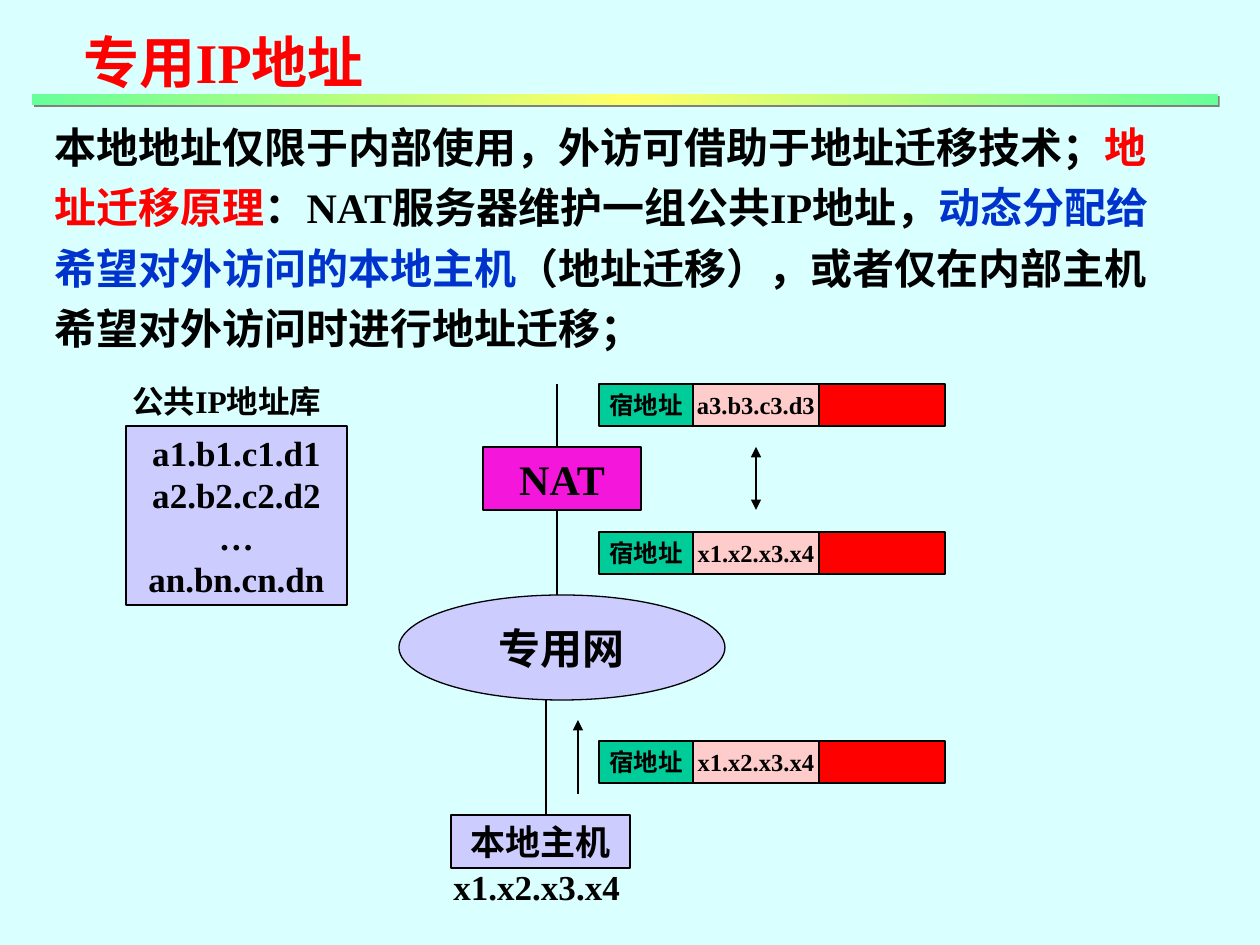
from dataclasses import dataclass

from lxml.etree import SubElement
from pptx import Presentation
from pptx.dml.color import RGBColor as RGB
from pptx.enum.shapes import MSO_CONNECTOR as LINK, MSO_SHAPE as SHAPE
from pptx.enum.text import MSO_ANCHOR as ANCHOR, MSO_AUTO_SIZE as FIT, PP_ALIGN as ALIGN
from pptx.oxml.ns import qn
from pptx.util import Emu, Pt


@dataclass(frozen=True)
class Theme:
    font: str = "Times New Roman"
    background: str = "D9FFFF"
    ink: str = "000000"
    red: str = "FF0000"
    blue: str = "0033CC"
    lavender: str = "CCCCFF"
    magenta: str = "F416DA"
    green: str = "00CC99"
    pink: str = "FFCCCC"
    bar_edge: str = "66FF99"
    bar_middle: str = "FFFF66"
    bar_shadow: str = "808080"
    title: int = 32
    body: int = 24
    node: int = 20
    caption: int = 18
    packet: int = 14
    line: float = 0.75


THEME = Theme()


def px(length):
    return Emu(round(length * 914400 / 126))


def apply(target, values):
    for name, value in values.items():
        setattr(target, name, value)


def place(element, box):
    apply(element, dict(zip(("left", "top", "width", "height"), map(px, box))))


def add_run(paragraph, text, size, color=THEME.ink):
    run = paragraph.add_run()
    run.text = text
    apply(run.font, {"size": Pt(size), "name": THEME.font, "bold": True})
    run.font.color.rgb = RGB.from_string(color)


def write_lines(frame, lines, size, align):
    for index, line in enumerate(lines):
        paragraph = frame.add_paragraph() if index else frame.paragraphs[0]
        paragraph.alignment = align
        add_run(paragraph, line, size)


def add_node(slide, kind, box, color, lines=(), size=THEME.node):
    node = slide.shapes.add_shape(kind, *map(px, box))
    node.shadow.inherit = False
    node.fill.solid()
    node.fill.fore_color.rgb = RGB.from_string(color)
    node.line.color.rgb = RGB.from_string(THEME.ink)
    node.line.width = Pt(THEME.line)
    apply(node.text_frame, {"word_wrap": False, "vertical_anchor": ANCHOR.MIDDLE})
    write_lines(node.text_frame, lines, size, ALIGN.CENTER)


def add_caption(slide, box, text, size):
    frame = slide.shapes.add_textbox(*map(px, box)).text_frame
    apply(frame, {"word_wrap": False, "auto_size": FIT.SHAPE_TO_FIT_TEXT})
    write_lines(frame, [text], size, ALIGN.LEFT)


def add_link(slide, start, end, arrowheads=()):
    link = slide.shapes.add_connector(LINK.STRAIGHT, *map(px, start + end))
    link.line.color.rgb = RGB.from_string(THEME.ink)
    link.line.width = Pt(THEME.line)
    for arrowhead in arrowheads:
        SubElement(link.line._get_or_add_ln(), qn(f"a:{arrowhead}"), type="triangle")
    SubElement(link._element.spPr, qn("a:effectLst"))


def add_packet(slide, top, address):
    left = 599
    fields = [
        (94, THEME.green, ["宿地址"]),
        (126, THEME.pink, [address]),
        (126, THEME.red, []),
    ]
    for width, color, lines in fields:
        add_node(slide, SHAPE.RECTANGLE, (left, top, width, 42), color, lines, THEME.packet)
        left += width


def add_title(slide):
    title = slide.shapes.title
    place(title, (71, 21, 333, 81))
    apply(title.text_frame, {
        "word_wrap": False,
        "vertical_anchor": ANCHOR.TOP,
        "auto_size": FIT.SHAPE_TO_FIT_TEXT,
    })
    heading = title.text_frame.paragraphs[0]
    heading.alignment = ALIGN.LEFT
    add_run(heading, "专用IP地址", THEME.title, THEME.red)


def add_title_bar(slide):
    bar = slide.shapes.add_shape(SHAPE.RECTANGLE, *map(px, (32, 94, 1186, 11)))
    bar.shadow.inherit = False
    bar.line.fill.background()
    bar.fill.gradient()
    bar.fill.gradient_angle = 0
    stops = bar.fill._fill._gradFill.gsLst
    for stop in list(stops):
        stops.remove(stop)
    for position, color in ((0, THEME.bar_edge), (50, THEME.bar_middle), (100, THEME.bar_edge)):
        stop = SubElement(stops, qn("a:gs"), pos=str(position * 1000))
        SubElement(stop, qn("a:srgbClr"), val=color)
    effects = bar._element.spPr.find(qn("a:effectLst"))
    shadow = SubElement(effects, qn("a:outerShdw"), dist=str(Pt(1.4)), dir="2700000")
    SubElement(shadow, qn("a:srgbClr"), val=THEME.bar_shadow)


def add_body(slide):
    body = slide.placeholders[1]
    place(body, (42, 105, 1144, 254))
    apply(body.text_frame, {
        "word_wrap": True,
        "vertical_anchor": ANCHOR.TOP,
        "auto_size": FIT.SHAPE_TO_FIT_TEXT,
    })
    explanation = body.text_frame.paragraphs[0]
    properties = explanation._p.get_or_add_pPr()
    SubElement(properties, qn("a:buNone"))
    for name in ("marL", "indent"):
        properties.set(name, "0")
    apply(explanation, {"line_spacing": 1.2, "space_before": Pt(0), "alignment": ALIGN.LEFT})
    for text, color in (
        ("本地地址仅限于内部使用，外访可借助于地址迁移技术；", THEME.ink),
        ("地址迁移原理", THEME.red),
        ("：NAT服务器维护一组公共IP地址，", THEME.ink),
        ("动态分配给希望对外访问的本地主机", THEME.blue),
        ("（地址迁移），或者仅在内部主机希望对外访问时进行地址迁移；", THEME.ink),
    ):
        add_run(explanation, text, THEME.body, color)


def add_network(slide):
    pool = ["a1.b1.c1.d1", "a2.b2.c2.d2", "…", "an.bn.cn.dn"]
    add_node(slide, SHAPE.RECTANGLE, (126, 426, 221, 179), THEME.lavender, pool)
    add_node(slide, SHAPE.RECTANGLE, (483, 447, 158, 63), THEME.magenta, ["NAT"], THEME.body)
    add_node(slide, SHAPE.OVAL, (399, 595, 326, 105), THEME.lavender, ["专用网"], THEME.body)
    add_node(slide, SHAPE.RECTANGLE, (451, 815, 179, 53), THEME.lavender, ["本地主机"])
    add_caption(slide, (441, 859, 192, 55), "x1.x2.x3.x4", THEME.node)
    add_caption(slide, (120, 376, 229, 50), "公共IP地址库", THEME.caption)

    add_link(slide, (546, 700), (546, 815))
    add_link(slide, (557, 510), (557, 595))
    add_link(slide, (557, 384), (557, 447))
    add_link(slide, (756, 447), (756, 510), ("headEnd", "tailEnd"))
    add_link(slide, (578, 794), (578, 720), ("tailEnd",))

    for top, address in ((741, "x1.x2.x3.x4"), (532, "x1.x2.x3.x4"), (384, "a3.b3.c3.d3")):
        add_packet(slide, top, address)


def main():
    deck = Presentation()
    apply(deck, {"slide_width": px(1260), "slide_height": px(945)})
    slide = deck.slides.add_slide(deck.slide_layouts[1])
    slide.background.fill.solid()
    slide.background.fill.fore_color.rgb = RGB.from_string(THEME.background)
    add_title(slide)
    add_title_bar(slide)
    add_body(slide)
    add_network(slide)
    deck.save("out.pptx")


if __name__ == "__main__":
    main()
